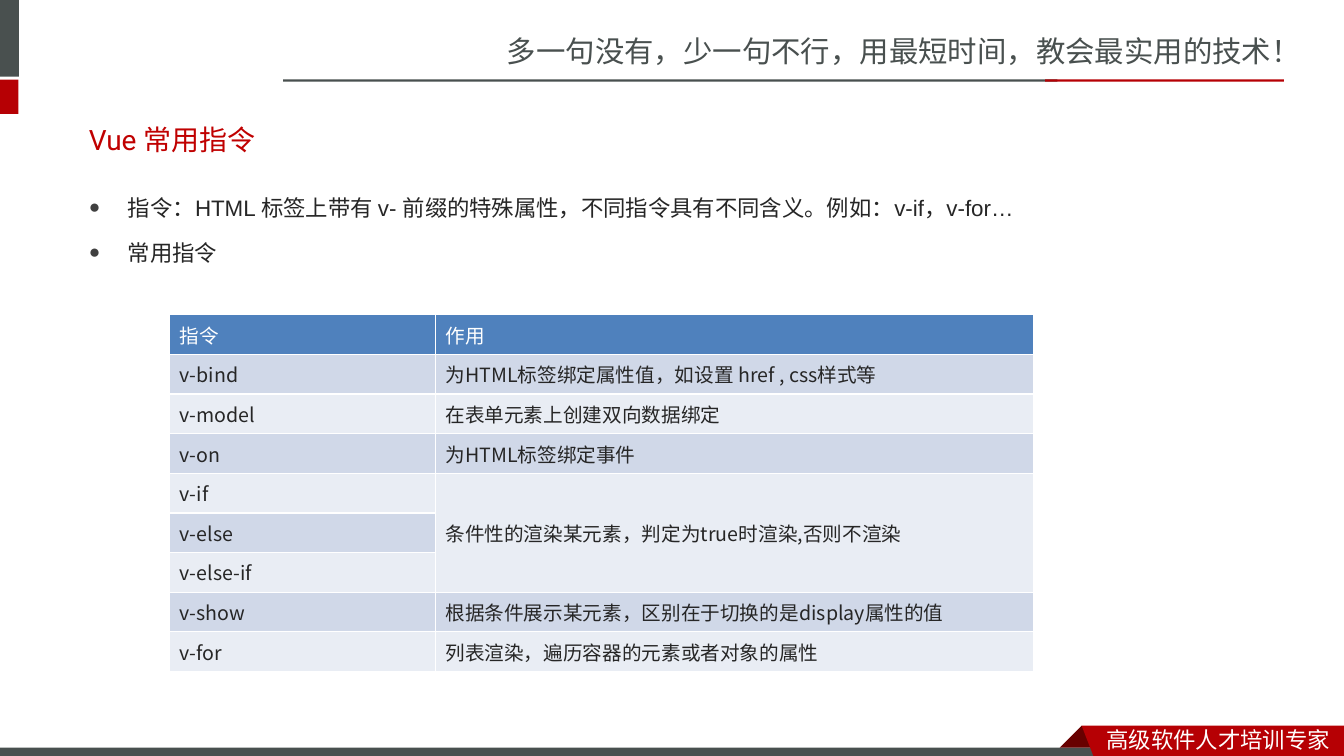
from lxml import etree
from pptx import Presentation
from pptx.dml.color import RGBColor
from pptx.enum.shapes import MSO_SHAPE
from pptx.enum.text import MSO_ANCHOR, PP_ALIGN
from pptx.oxml.ns import qn
from pptx.util import Pt

RECTANGLE = MSO_SHAPE.RECTANGLE
MIDDLE, TOP = MSO_ANCHOR.MIDDLE, MSO_ANCHOR.TOP
LEFT = PP_ALIGN.LEFT
CJK_FONT = "Noto Sans CJK SC"
COLOURS = {
    "grey": "49504F", "red": "B60004", "dark red": "680000", "title": "C00000",
    "text": "262626", "bullet": "404040", "white": "FFFFFF",
    "header": "4F81BD", "odd row": "D0D8E8", "even row": "E9EDF4",
}


def style_paragraph(paragraph, size, colour, latin_font=CJK_FONT):
    """Set the font, with the CJK font for East Asian characters."""
    font = paragraph.font
    font.size = Pt(size)
    font.bold = False
    font.name = latin_font
    font.color.rgb = RGBColor.from_string(COLOURS[colour])
    east_asian = etree.SubElement(font._element, qn("a:ea"))
    east_asian.set("typeface", CJK_FONT)


def paint(shape, colour):
    shape.shadow.inherit = False
    shape.fill.solid()
    shape.fill.fore_color.rgb = RGBColor.from_string(COLOURS[colour])
    shape.line.fill.background()


presentation = Presentation()
presentation.slide_width = Pt(960)
presentation.slide_height = Pt(540)
slide = presentation.slides.add_slide(presentation.slide_layouts[1])
shapes = slide.shapes

# Bars at the left edge, under the slogan and along the bottom
bars = [
    (0, 0, 13.5, 54.7, "grey"),
    (0, 56.9, 13.2, 24.5, "red"),
    (202.3, 56.7, 553, 1.6, "grey"),
    (746.6, 56.7, 170.6, 1.6, "red"),
    (0, 534, 791, 6, "grey"),
]
for left, top, width, height, colour in bars:
    bar = shapes.add_shape(RECTANGLE, Pt(left), Pt(top), Pt(width), Pt(height))
    paint(bar, colour)

# Folded ribbon in the bottom corner
ribbon_parts = [
    ("dark red", [(772.6, 518.4), (788.4, 534), (757, 534)]),
    ("red", [(772.6, 518.4), (960, 518.4), (960, 540), (781, 540)]),
]
for colour, points in ribbon_parts:
    corners = [(Pt(x), Pt(y)) for x, y in points]
    builder = shapes.build_freeform(*corners[0], scale=1.0)
    builder.add_line_segments(corners[1:], close=True)
    paint(builder.convert_to_shape(), colour)

# Slogan and ribbon label
labels = [
    ("多一句没有，少一句不行，用最短时间，教会最实用的技术！", 355, 20.2, 605, 34, 21, "grey"),
    ("高级软件人才培训专家", 783.4, 514.8, 176.6, 25.2, 16, "white"),
]
for text, left, top, width, height, size, colour in labels:
    label = shapes.add_textbox(Pt(left), Pt(top), Pt(width), Pt(height))
    label.text_frame.word_wrap = True
    label.text_frame.text = text
    style_paragraph(label.text_frame.paragraphs[0], size, colour)

# Title
title = shapes.title
title.left, title.top, title.width, title.height = Pt(56.2), Pt(79.2), Pt(846.7), Pt(41)
title.text_frame.text = "Vue 常用指令"
title.text_frame.vertical_anchor = MIDDLE
title_paragraph = title.text_frame.paragraphs[0]
title_paragraph.alignment = LEFT
style_paragraph(title_paragraph, 20, "title", "Roboto")

# Bulleted list
body = slide.placeholders[1]
body.left, body.top, body.width, body.height = Pt(56.2), Pt(125.3), Pt(846.7), Pt(99.4)
body.text_frame.text = (
    "指令：HTML 标签上带有 v- 前缀的特殊属性，不同指令具有不同含义。例如：v-if，v-for…\n"
    "常用指令"
)
body.text_frame.vertical_anchor = TOP
for paragraph in body.text_frame.paragraphs:
    paragraph.line_spacing = 1.5
    paragraph.space_before = Pt(3.2)
    properties = paragraph._p.get_or_add_pPr()
    properties.set("marL", str(Pt(28)))
    properties.set("indent", str(-Pt(28)))
    bullet_colour = etree.SubElement(properties, qn("a:buClr"))
    etree.SubElement(bullet_colour, qn("a:srgbClr")).set("val", COLOURS["bullet"])
    etree.SubElement(properties, qn("a:buSzPct")).set("val", "85000")
    etree.SubElement(properties, qn("a:buChar")).set("char", "●")
    style_paragraph(paragraph, 16, "text", "Arial")

# Table of directives
directives = [
    ("指令", "作用"),
    ("v-bind", "为HTML标签绑定属性值，如设置 href , css样式等"),
    ("v-model", "在表单元素上创建双向数据绑定"),
    ("v-on", "为HTML标签绑定事件"),
    ("v-if", "条件性的渲染某元素，判定为true时渲染,否则不渲染"),
    ("v-else", ""),
    ("v-else-if", ""),
    ("v-show", "根据条件展示某元素，区别在于切换的是display属性的值"),
    ("v-for", "列表渲染，遍历容器的元素或者对象的属性"),
]
row_height = 28.32
table = shapes.add_table(
    len(directives), 2, Pt(121.2), Pt(224.8), Pt(617), Pt(row_height * len(directives))
).table
for column, width in zip(table.columns, (189.8, 427.2)):
    column.width = Pt(width)
table.cell(4, 1).merge(table.cell(6, 1))
for row_index, row_texts in enumerate(directives):
    table.rows[row_index].height = Pt(row_height)
    if row_index == 0:
        fill_colour, text_colour = "header", "white"
    else:
        fill_colour = "odd row" if row_index % 2 else "even row"
        text_colour = "text"
    for column_index, text in enumerate(row_texts):
        cell = table.cell(row_index, column_index)
        if cell.is_spanned:
            continue
        cell.text = text
        cell.vertical_anchor = MIDDLE
        cell.fill.solid()
        cell.fill.fore_color.rgb = RGBColor.from_string(COLOURS[fill_colour])
        style_paragraph(cell.text_frame.paragraphs[0], 14, text_colour)

presentation.save("out.pptx")
